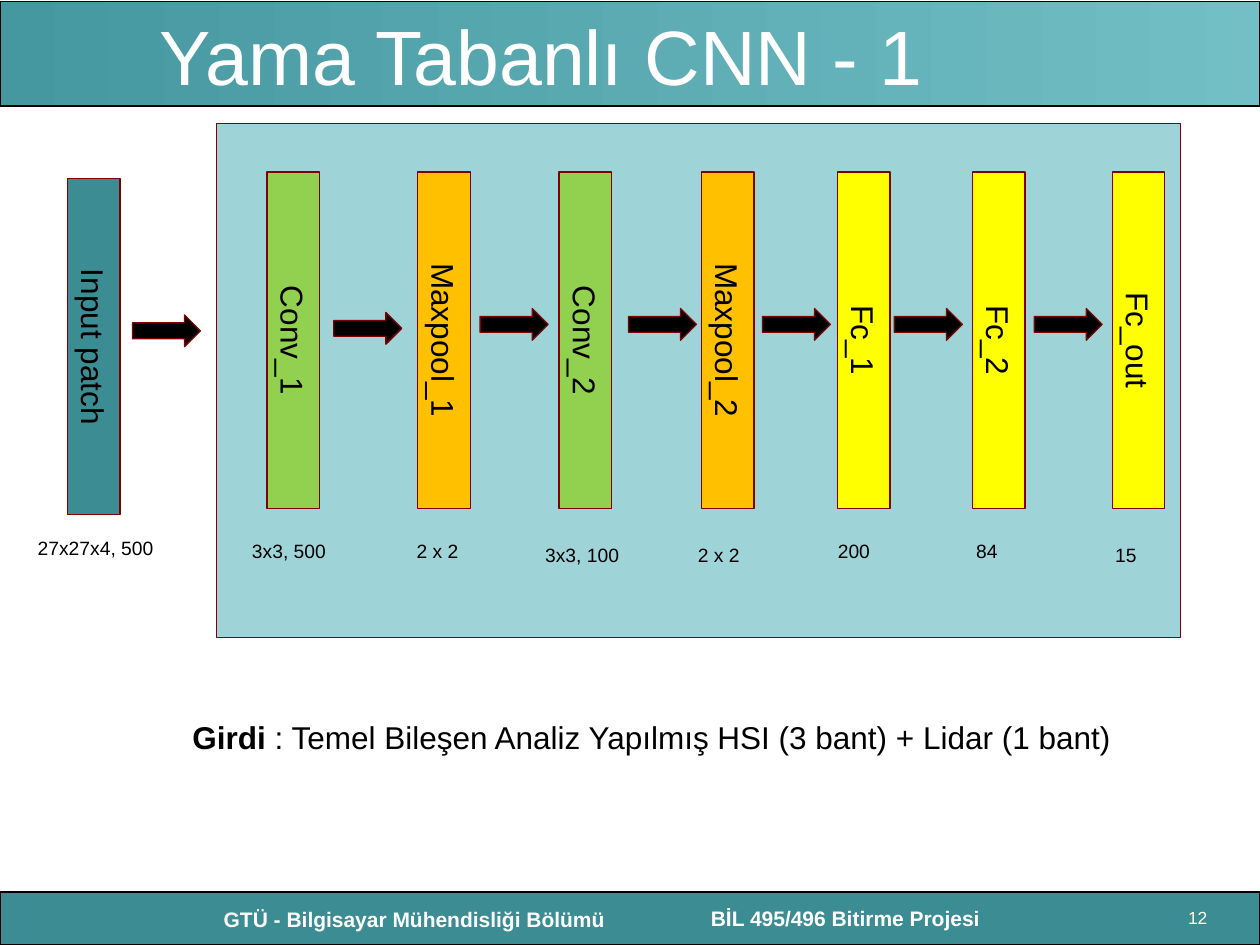
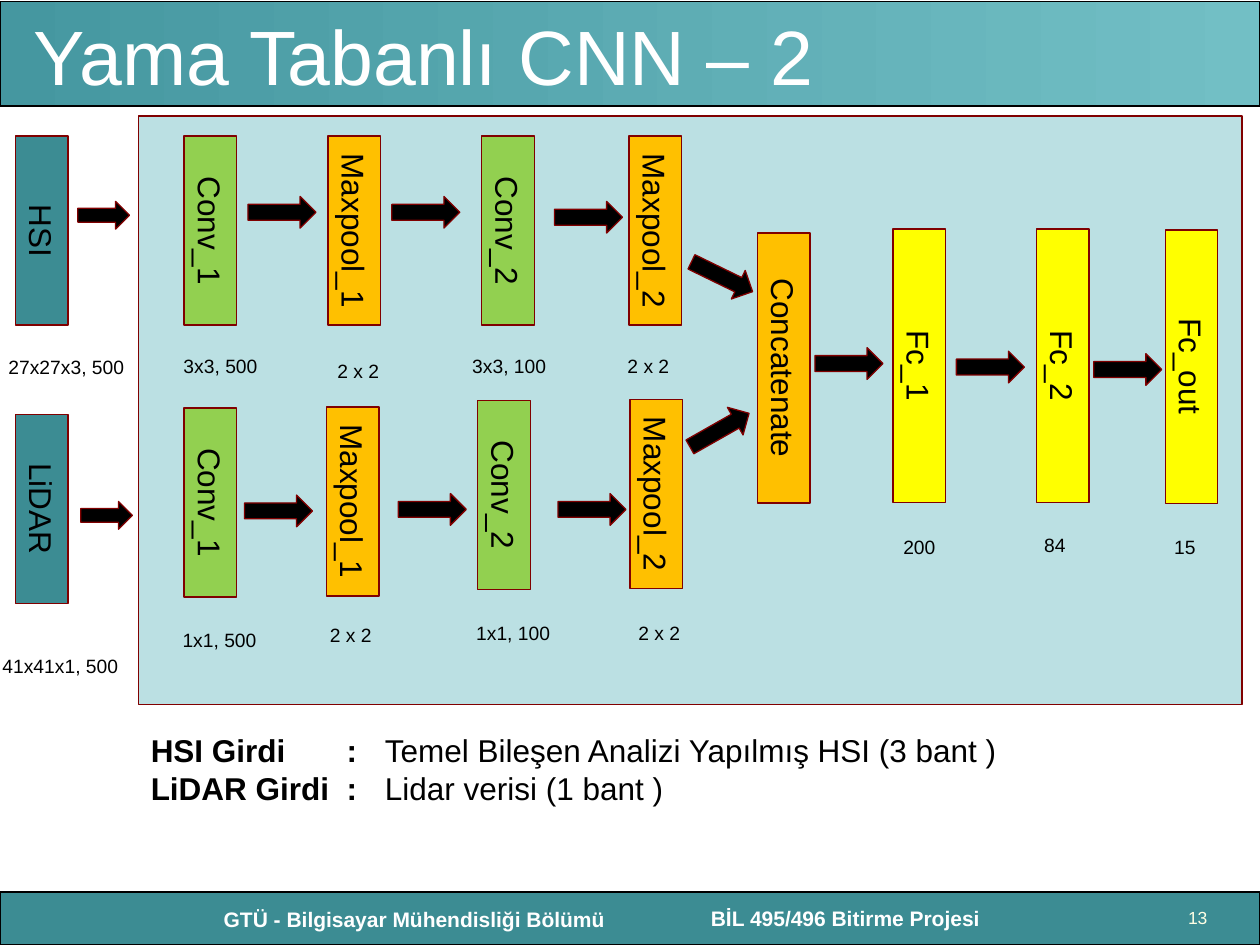
from dataclasses import dataclass

from lxml.etree import SubElement
from pptx import Presentation
from pptx.dml.color import RGBColor
from pptx.enum.shapes import MSO_SHAPE
from pptx.enum.text import MSO_ANCHOR, PP_ALIGN
from pptx.oxml.ns import qn
from pptx.util import Cm, Pt


@dataclass(frozen=True)
class Theme:
    font: str = "Arial"
    teal: str = "3C8C93"
    fade: tuple = ("4597A0", "72BFC5")
    deep: str = "9ED3D7"
    pale: str = "BBE0E3"
    green: str = "92D050"
    amber: str = "FFC000"
    yellow: str = "FFFF00"
    edge: str = "800000"
    black: str = "000000"
    white: str = "FFFFFF"
    cream: str = "FFFFE5"
    title: int = 44
    body: int = 18
    foot: int = 12
    note: int = 11
    page: int = 10
    rule: float = 0.75


THEME = Theme()
FILLS = {
    "Conv": THEME.green,
    "Maxpool": THEME.amber,
    "Concatenate": THEME.amber,
    "Fc": THEME.yellow,
}
WIDE, HIGH = 25.4, 19.05
THICK = 1.06
ARROW = (1.37, 0.64)
SMALL = (1.04, 0.56)


def color(code):
    return RGBColor.from_string(code)


def style(para, size, ink=THEME.black, bold=False):
    font = para.font
    font.name, font.size = THEME.font, Pt(size)
    font.color.rgb = color(ink)
    font.bold = bold


def shape(slide, kind, box, fill, edge=THEME.edge):
    item = slide.shapes.add_shape(kind, *map(Cm, box))
    item.shadow.inherit = False
    item.fill.solid()
    item.fill.fore_color.rgb = color(fill)
    item.line.color.rgb = color(edge)
    item.line.width = Pt(THEME.rule)
    return item


def panel(slide, box, fill, edge=THEME.edge):
    return shape(slide, MSO_SHAPE.RECTANGLE, box, fill, edge)


def text(slide, box, words, size, ink=THEME.black, bold=False):
    frame = slide.shapes.add_textbox(*map(Cm, box)).text_frame
    frame.word_wrap = True
    para = frame.paragraphs[0]
    para.text = words
    style(para, size, ink, bold)
    return frame


def bar(slide, label, x, y, span):
    fill = FILLS.get(label.split("_")[0], THEME.teal)
    item = panel(slide, (x - span / 2, y - THICK / 2, span, THICK), fill)
    item.rotation = 90
    frame = item.text_frame
    frame.word_wrap = False
    frame.vertical_anchor = MSO_ANCHOR.MIDDLE
    para = frame.paragraphs[0]
    para.text = label
    para.alignment = PP_ALIGN.CENTER
    style(para, THEME.body)


def bars(slide, span, stages):
    for label, x, y in stages:
        bar(slide, label, x, y, span)


def arrow(slide, x, y, size=ARROW, turn=0):
    wide, high = size
    box = (x, y - high / 2, wide, high)
    shape(slide, MSO_SHAPE.RIGHT_ARROW, box, THEME.black).rotation = turn


def arrows(slide, spots):
    for x, y in spots:
        arrow(slide, x, y)


def notes(slide, items, wide=2.11):
    for words, x, y in items:
        text(slide, (x, y, wide, 0.74), words, THEME.note)


def caption(slide, box, rows, stops=()):
    frame = text(slide, box, "", THEME.body)
    for index, (lead, rest) in enumerate(rows):
        para = frame.paragraphs[0] if index == 0 else frame.add_paragraph()
        if stops:
            tabs = SubElement(para._p.get_or_add_pPr(), qn("a:tabLst"))
            for stop in stops:
                SubElement(tabs, qn("a:tab"), pos=str(Cm(stop)), algn="l")
        style(para, THEME.body)
        head = para.add_run()
        head.text, head.font.bold = lead, True
        para.add_run().text = rest


def base(deck, title, page, indent=0):
    slide = deck.slides.add_slide(deck.slide_layouts[6])
    panel(slide, (0, 17.98, WIDE, 1.07), THEME.teal, THEME.black)
    band = panel(slide, (0, 0.03, WIDE, 2.11), THEME.teal, THEME.black)
    band.fill.gradient()
    band.fill.gradient_angle = 0
    for stop, code, place in zip(band.fill.gradient_stops, THEME.fade, (0, 1)):
        stop.color.rgb = color(code)
        stop.position = place
    feet = (
        ("GTÜ - Bilgisayar Mühendisliği Bölümü", 4.01, 18.16),
        ("BİL 495/496 Bitirme Projesi", 12.7, 18.14),
    )
    for words, x, y in feet:
        foot = text(slide, (x, y, 8.69, 0.76), words, THEME.foot, THEME.white, True)
        foot.paragraphs[0].alignment = PP_ALIGN.CENTER
    head = text(slide, (0.43, 0.3, 21.79, 1.6), title, THEME.title, THEME.white)
    head.vertical_anchor = MSO_ANCHOR.MIDDLE
    head.paragraphs[0]._p.get_or_add_pPr().set("marL", str(Cm(indent)))
    text(slide, (23.7, 18.21, 1.27, 0.2), str(page), THEME.page, THEME.cream)
    return slide


def single(deck):
    slide = base(deck, "Yama Tabanlı CNN - 1", 12, 2.54)
    panel(slide, (4.37, 2.49, 19.43, 10.36), THEME.deep)
    mid = 6.86
    bars(slide, 6.78, (
        ("Input patch", 1.89, 6.99),
        ("Conv_1", 5.91, mid),
        ("Maxpool_1", 8.95, mid),
        ("Conv_2", 11.8, mid),
        ("Maxpool_2", 14.67, mid),
        ("Fc_1", 17.41, mid),
        ("Fc_2", 20.13, mid),
        ("Fc_out", 22.95, mid),
    ))
    arrows(slide, ((2.67, 6.67), (6.73, 6.62)))
    arrows(slide, ((x, 6.54) for x in (9.68, 12.67, 15.37, 18.03, 20.85)))
    notes(slide, (("27x27x4, 500", 0.51, 10.69),), 2.9)
    notes(slide, (
        ("3x3, 500", 4.83, 10.74),
        ("2 x 2", 8.15, 10.74),
        ("3x3, 100", 10.74, 10.82),
        ("2 x 2", 13.82, 10.82),
        ("200", 16.64, 10.74),
        ("84", 19.43, 10.74),
        ("15", 22.23, 10.82),
    ))
    rest = " : Temel Bileşen Analiz Yapılmış HSI (3 bant) + Lidar (1 bant)"
    caption(slide, (3.63, 14.35, 23.5, 1.02), (("Girdi", rest),))


def double(deck):
    slide = base(deck, "Yama Tabanlı CNN – 2", 13)
    panel(slide, (2.79, 2.34, 22.25, 11.86), THEME.pale)
    top = 4.65
    bars(slide, 3.81, (
        ("HSI", 0.84, top),
        ("Conv_1", 4.24, top),
        ("Maxpool_1", 7.14, top),
        ("Conv_2", 10.24, top),
        ("Maxpool_2", 13.21, top),
        ("LiDAR", 0.84, 10.26),
        ("Conv_1", 4.24, 10.13),
        ("Maxpool_1", 7.11, 10.11),
        ("Conv_2", 10.16, 9.98),
        ("Maxpool_2", 13.23, 9.96),
    ))
    bar(slide, "Concatenate", 15.8, 7.42, 5.44)
    bars(slide, 5.51, (
        ("Fc_1", 18.53, 7.37),
        ("Fc_2", 21.42, 7.37),
        ("Fc_out", 24.02, 7.39),
    ))
    arrow(slide, 1.57, 4.34, SMALL)
    arrow(slide, 1.63, 10.39, SMALL)
    arrows(slide, (
        (5, 4.28), (7.9, 4.28), (11.18, 4.38),
        (4.93, 10.3), (8.03, 10.27), (11.25, 10.27),
        (16.43, 7.33), (19.28, 7.4), (22.05, 7.45),
    ))
    arrow(slide, 13.87, 5.58, turn=26)
    arrow(slide, 13.82, 8.67, turn=330.4)
    notes(slide, (
        ("27x27x3, 500", -0.08, 7.04),
        ("41x41x1, 500", -0.2, 13.06),
    ), 2.9)
    notes(slide, (
        ("3x3, 500", 3.45, 7.01),
        ("2 x 2", 6.55, 7.11),
        ("3x3, 100", 9.27, 7.01),
        ("2 x 2", 12.4, 7.01),
        ("1x1, 500", 3.43, 12.55),
        ("2 x 2", 6.4, 12.45),
        ("1x1, 100", 9.35, 12.4),
        ("2 x 2", 12.62, 12.4),
        ("200", 17.96, 10.67),
        ("84", 20.8, 10.62),
        ("15", 23.42, 10.67),
    ))
    caption(slide, (2.79, 14.61, 22.17, 1.8), (
        ("HSI Girdi\t:\t", "Temel Bileşen Analizi Yapılmış HSI (3 bant )"),
        ("LiDAR Girdi\t:\t", "Lidar verisi (1 bant )"),
    ), (3.95, 4.72))


def main():
    deck = Presentation()
    deck.slide_width, deck.slide_height = Cm(WIDE), Cm(HIGH)
    single(deck)
    double(deck)
    deck.save("out.pptx")


main()
